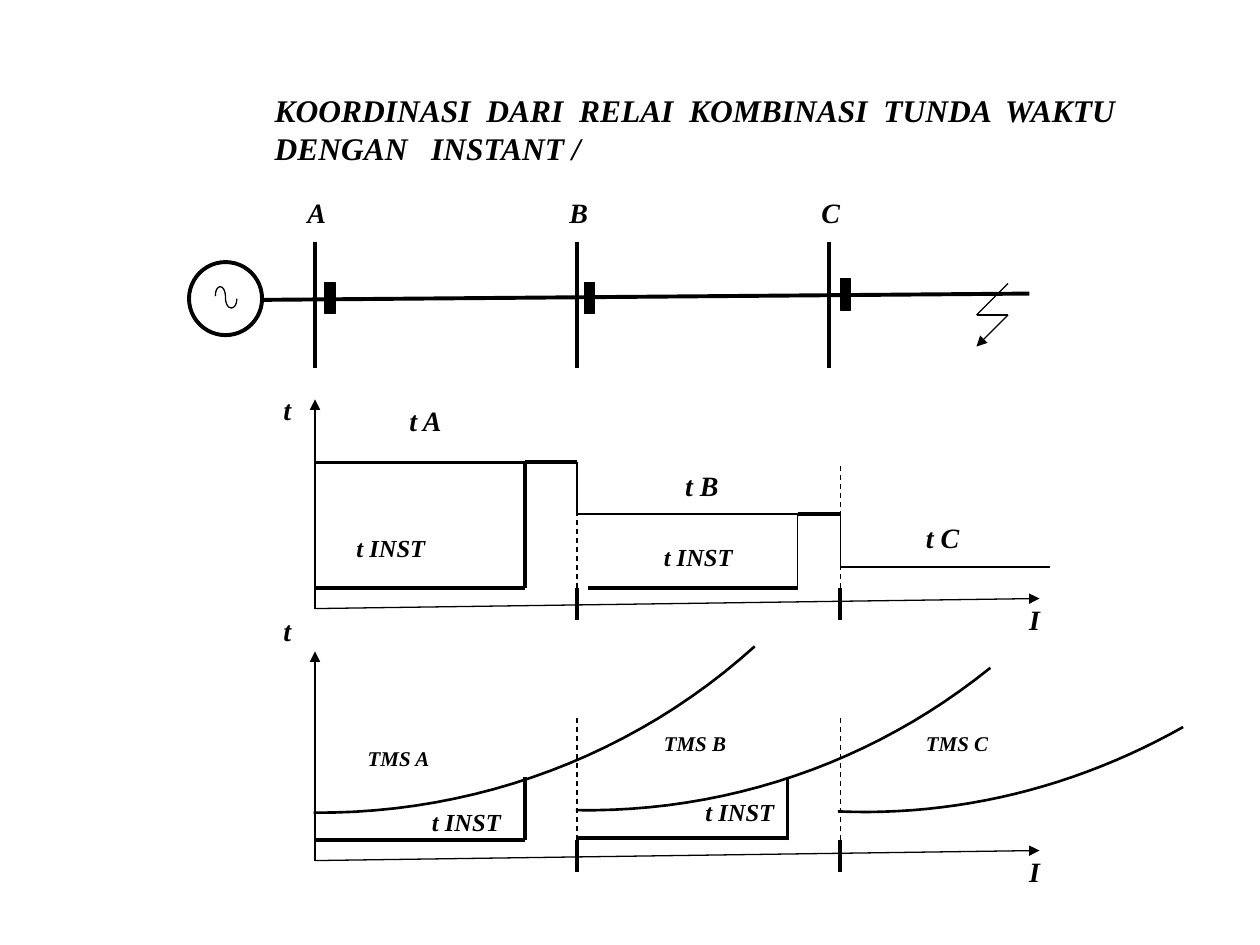
from dataclasses import dataclass

from lxml.etree import SubElement
from pptx import Presentation
from pptx.dml.color import RGBColor
from pptx.enum.dml import MSO_LINE
from pptx.enum.shapes import MSO_CONNECTOR, MSO_SHAPE
from pptx.enum.text import MSO_ANCHOR, MSO_AUTO_SIZE, PP_ALIGN
from pptx.oxml.ns import qn
from pptx.shapes.base import BaseShape
from pptx.slide import Slide
from pptx.text.text import TextFrame
from pptx.util import Inches, Pt

BLACK = RGBColor(0, 0, 0)
FONT_NAME = "Times New Roman"
THIN, MEDIUM, THICK = 0.75, 1.5, 2.25
SECTION_A, SECTION_B, SECTION_C = 2.5, 4.58, 6.67
AXIS_BOTTOMS = (4.83, 6.83)
CURVE_STEPS = 24

Point = tuple[float, float]
Bezier = tuple[Point, Point, Point, Point]


@dataclass(frozen=True)
class Label:
    text: str
    left: float
    top: float
    width: float
    height: float
    size: int


@dataclass(frozen=True)
class Line:
    start: Point
    end: Point
    weight: float
    arrow: bool = False
    dashed: bool = False


BUSES = (("A", 2.5), ("B", 4.58), ("C", 6.58))
RELAYS = ((2.58, 2.24), (4.64, 2.24), (6.67, 2.21))

LABELS = (
    Label("t A", 3.15, 3.15, 0.5, 0.37, 16),
    Label("t B", 5.34, 3.67, 0.5, 0.37, 16),
    Label("t C", 7.25, 4.08, 0.5, 0.37, 16),
    Label("t", 2.15, 3.07, 0.26, 0.37, 16),
    Label("t", 2.15, 4.82, 0.26, 0.37, 16),
    Label("t INST", 2.73, 4.18, 0.78, 0.34, 14),
    Label("t INST", 5.17, 4.25, 0.78, 0.34, 14),
    Label("t INST", 3.33, 6.36, 0.78, 0.34, 14),
    Label("t INST", 5.5, 6.28, 0.78, 0.34, 14),
    Label("TMS A", 2.82, 5.87, 0.73, 0.3, 12),
    Label("TMS B", 5.17, 5.75, 0.73, 0.3, 12),
    Label("TMS C", 7.25, 5.75, 0.73, 0.3, 12),
)

FEEDER = Line((2.08, 2.38), (8.17, 2.33), THICK)
FAULT_LINES = (
    Line((8, 2.25), (7.75, 2.5), THIN),
    Line((7.75, 2.5), (8, 2.5), THIN),
    Line((8, 2.5), (7.75, 2.75), THIN, arrow=True),
)
DEFINITE_TIME_LINES = (
    Line((SECTION_A, 3.67), (SECTION_B, 3.67), MEDIUM),
    Line((SECTION_B, 4.08), (SECTION_C, 4.08), MEDIUM),
    Line((SECTION_C, 4.5), (8.33, 4.5), MEDIUM),
    Line((SECTION_B, 3.67), (SECTION_B, 4.08), THIN),
    Line((SECTION_C, 4.08), (SECTION_C, 4.5), THIN),
    Line((SECTION_A, 4.67), (4.17, 4.67), THICK),
    Line((4.17, 4.67), (4.17, 3.67), THICK),
    Line((4.17, 3.67), (SECTION_B, 3.67), THICK),
    Line((4.67, 4.67), (6.33, 4.67), THICK),
    Line((6.33, 4.67), (6.33, 4.08), THIN),
    Line((6.33, 4.08), (SECTION_C, 4.08), THICK),
)
INVERSE_TIME_LINES = (
    Line((SECTION_A, 6.67), (4.17, 6.67), THICK),
    Line((4.17, 6.67), (4.17, 6.17), THICK),
    Line((SECTION_B, 6.65), (6.25, 6.65), THICK),
    Line((6.25, 6.67), (6.25, 6.17), THICK),
)
INVERSE_TIME_CURVES: tuple[Bezier, ...] = (
    ((2.49, 6.45), (3.79, 6.46), (5.04, 5.99), (5.99, 5.13)),
    ((4.57, 6.43), (5.76, 6.45), (6.92, 6.06), (7.86, 5.3)),
    ((6.65, 6.44), (7.6, 6.48), (8.54, 6.25), (9.39, 5.77)),
)
SINE_WAVE: tuple[Bezier, ...] = (
    ((1.71, 2.35), (1.71, 2.25), (1.79, 2.25), (1.79, 2.36)),
    ((1.79, 2.36), (1.79, 2.47), (1.88, 2.47), (1.88, 2.37)),
)


def format_text(text_frame: TextFrame, size: int) -> None:
    text_frame.word_wrap = False
    text_frame.auto_size = MSO_AUTO_SIZE.SHAPE_TO_FIT_TEXT
    text_frame.vertical_anchor = MSO_ANCHOR.TOP
    for paragraph in text_frame.paragraphs:
        paragraph.alignment = PP_ALIGN.LEFT
        for run in paragraph.runs:
            run.font.name = FONT_NAME
            run.font.size = Pt(size)
            run.font.bold = run.font.italic = True
            run.font.color.rgb = BLACK


def place(shape: BaseShape, left: float, top: float, width: float, height: float) -> None:
    shape.left, shape.top = Inches(left), Inches(top)
    shape.width, shape.height = Inches(width), Inches(height)


def add_label(slide: Slide, label: Label) -> None:
    box = slide.shapes.add_textbox(0, 0, 0, 0)
    box.text_frame.text = label.text
    format_text(box.text_frame, label.size)
    place(box, label.left, label.top, label.width, label.height)


def add_line(slide: Slide, line: Line) -> None:
    ends = [Inches(value) for value in (*line.start, *line.end)]
    connector = slide.shapes.add_connector(MSO_CONNECTOR.STRAIGHT, *ends)
    connector.line.color.rgb = BLACK
    connector.line.width = Pt(line.weight)
    if line.dashed:
        connector.line.dash_style = MSO_LINE.DASH
    if line.arrow:
        SubElement(connector.line._get_or_add_ln(), qn("a:tailEnd"), type="triangle")
    SubElement(connector._element.spPr, qn("a:effectLst"))


def outline(shape: BaseShape, weight: float, filled: bool = False) -> None:
    shape.shadow.inherit = False
    if filled:
        shape.fill.solid()
        shape.fill.fore_color.rgb = BLACK
    else:
        shape.fill.background()
    shape.line.color.rgb = BLACK
    shape.line.width = Pt(weight)


def bezier_point(curve: Bezier, t: float) -> Point:
    weights = ((1 - t) ** 3, 3 * t * (1 - t) ** 2, 3 * t**2 * (1 - t), t**3)
    x, y = (sum(w * point[axis] for w, point in zip(weights, curve)) for axis in (0, 1))
    return x, y


def add_curve(slide: Slide, curves: tuple[Bezier, ...], weight: float) -> None:
    """Draw joined cubic curves as one open outline."""
    points = [curves[0][0]]
    for curve in curves:
        points += [bezier_point(curve, step / CURVE_STEPS) for step in range(1, CURVE_STEPS + 1)]
    start, *rest = [(Inches(x), Inches(y)) for x, y in points]
    builder = slide.shapes.build_freeform(*start)
    builder.add_line_segments(rest, close=False)
    outline(builder.convert_to_shape(), weight)


def add_axes(slide: Slide, bottom: float) -> None:
    origin = (SECTION_A, bottom)
    add_line(slide, Line(origin, (SECTION_A, bottom - 1.66), MEDIUM, arrow=True))
    add_line(slide, Line(origin, (8.25, bottom - 0.08), THIN, arrow=True))
    add_label(slide, Label("I", 8.07, bottom - 0.1, 0.28, 0.37, 16))
    for x in (SECTION_B, SECTION_C):
        add_line(slide, Line((x, bottom - 0.16), (x, bottom + 0.09), THICK))
        add_line(slide, Line((x, bottom - 0.16), (x, bottom - 1.16), THIN, dashed=True))


def add_network(slide: Slide) -> None:
    generator = slide.shapes.add_shape(MSO_SHAPE.OVAL, 0, 0, 0, 0)
    place(generator, 1.5, 2.08, 0.58, 0.58)
    outline(generator, THICK)
    add_curve(slide, SINE_WAVE, THIN)
    add_line(slide, FEEDER)
    for name, x in BUSES:
        add_line(slide, Line((x, 1.92), (x, 2.92), THICK))
        add_label(slide, Label(name, x - 0.16, 1.5, 0.35, 0.37, 16))
    for left, top in RELAYS:
        relay = slide.shapes.add_shape(MSO_SHAPE.RECTANGLE, 0, 0, 0, 0)
        place(relay, left, top, 0.08, 0.25)
        outline(relay, THIN, filled=True)


def main() -> None:
    presentation = Presentation()
    presentation.slide_width, presentation.slide_height = Inches(10), Inches(7.5)
    slide = presentation.slides.add_slide(presentation.slide_layouts[5])
    title = slide.shapes.title
    title.text_frame.text = (
        "KOORDINASI  DARI  RELAI  KOMBINASI  TUNDA  WAKTU\nDENGAN   INSTANT /")
    format_text(title.text_frame, 18)
    place(title, 2.08, 0.67, 6.91, 0.7)

    add_network(slide)
    for bottom in AXIS_BOTTOMS:
        add_axes(slide, bottom)
    for line in FAULT_LINES + DEFINITE_TIME_LINES + INVERSE_TIME_LINES:
        add_line(slide, line)
    for curve in INVERSE_TIME_CURVES:
        add_curve(slide, (curve,), MEDIUM)
    for label in LABELS:
        add_label(slide, label)
    presentation.save("out.pptx")


if __name__ == "__main__":
    main()
